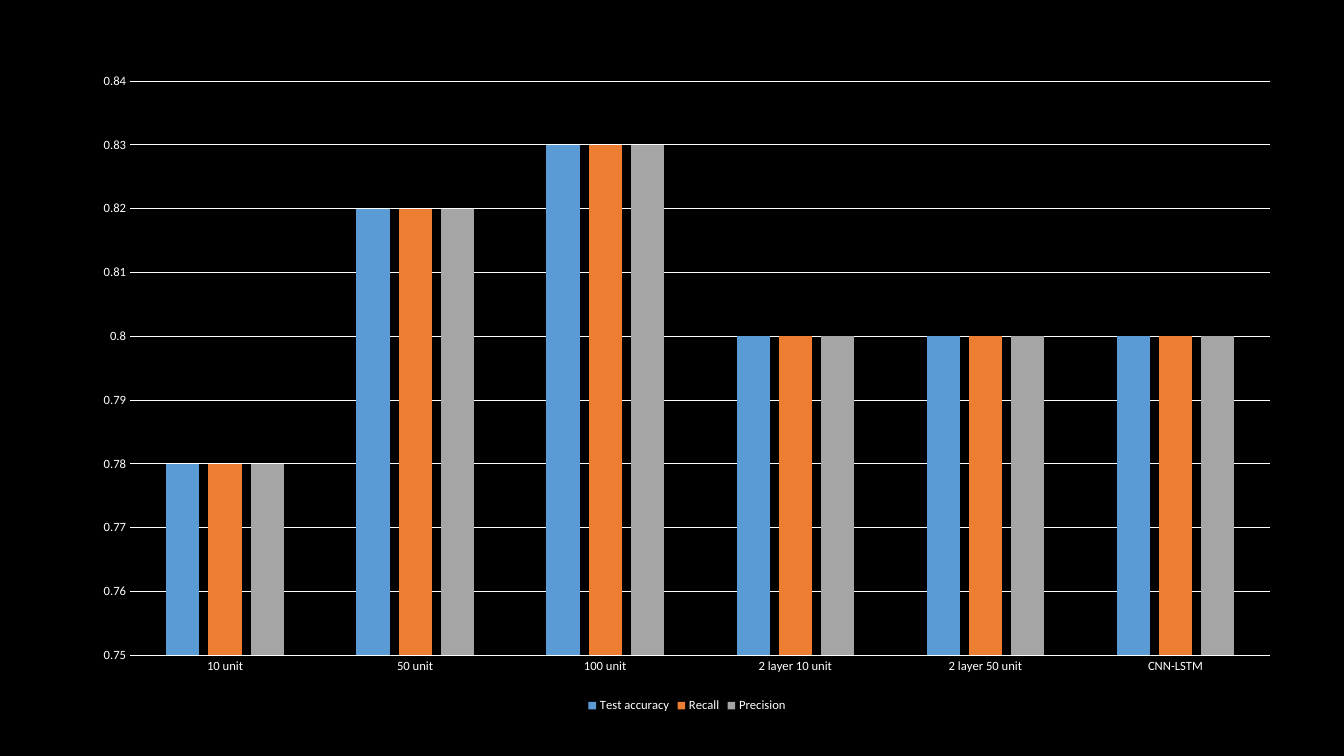
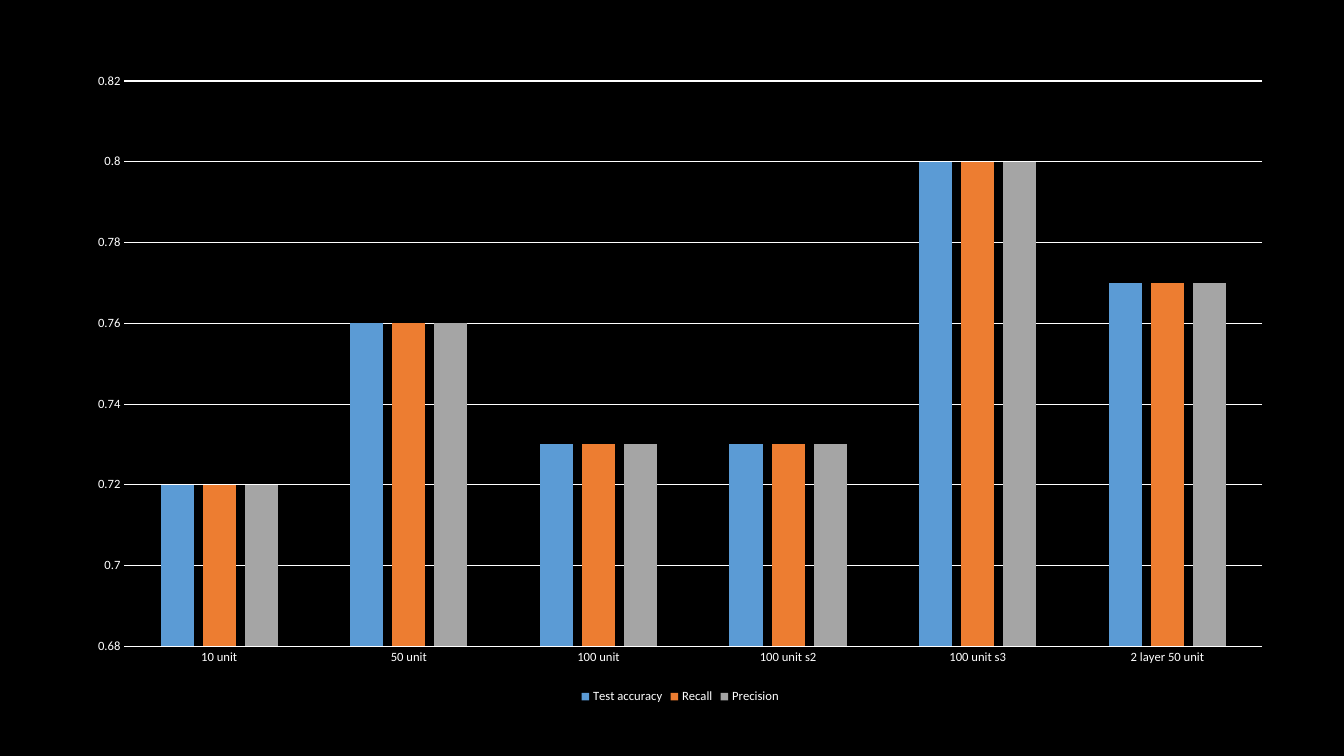
from dataclasses import dataclass

from pptx import Presentation
from pptx import util as u
from pptx.chart.chart import Chart
from pptx.chart.data import CategoryChartData
from pptx.dml.color import RGBColor
from pptx.enum import chart as charts
from pptx.slide import Slide
from pptx.text.text import Font


@dataclass(frozen=True)
class Theme:
    background: str = "000000"
    foreground: str = "FFFFFF"
    series: tuple[str, ...] = ("5B9BD5", "ED7D31", "A5A5A5")
    font: str = "Calibri"
    chart_size: int = 10
    label_size: int = 9
    line_width: float = 0.75


@dataclass(frozen=True)
class ScoreChart:
    """One slide's chart: frame in cm, value axis and the scores all measures share."""

    frame: tuple[float, float, float, float]
    axis: tuple[float, float, float]  # minimum, maximum, step
    categories: tuple[str, ...]
    scores: tuple[float, ...]


THEME = Theme()
MEASURES = ("Test accuracy", "Recall", "Precision")

SCORE_CHARTS = (
    ScoreChart(
        frame=(2.0, 1.53, 30.63, 16.54),
        axis=(0.75, 0.84, 0.01),
        categories=("10 unit", "50 unit", "100 unit",
                    "2 layer 10 unit", "2 layer 50 unit", "CNN-LSTM"),
        scores=(0.78, 0.82, 0.83, 0.8, 0.8, 0.8),
    ),
    ScoreChart(
        frame=(1.86, 1.53, 30.56, 16.31),
        axis=(0.68, 0.82, 0.02),
        categories=("10 unit", "50 unit", "100 unit",
                    "100 unit s2", "100 unit s3", "2 layer 50 unit"),
        scores=(0.72, 0.76, 0.73, 0.73, 0.8, 0.77),
    ),
)


def rgb(value: str) -> RGBColor:
    return RGBColor.from_string(value)


def style_font(font: Font, size: int) -> None:
    font.name = THEME.font
    font.size = u.Pt(size)
    font.color.rgb = rgb(THEME.foreground)


def style_axes(chart: Chart, scale: tuple[float, float, float]) -> None:
    category_axis, value_axis = chart.category_axis, chart.value_axis
    for axis in (category_axis, value_axis):
        axis.major_tick_mark = charts.XL_TICK_MARK.NONE
        axis.minor_tick_mark = charts.XL_TICK_MARK.NONE
        style_font(axis.tick_labels.font, THEME.label_size)
    value_axis.minimum_scale, value_axis.maximum_scale, value_axis.major_unit = scale
    value_axis.has_major_gridlines = True
    value_axis.format.line.fill.background()
    for line in (category_axis.format.line, value_axis.major_gridlines.format.line):
        line.color.rgb = rgb(THEME.foreground)
        line.width = u.Pt(THEME.line_width)


def add_score_chart(slide: Slide, score_chart: ScoreChart) -> None:
    data = CategoryChartData()
    data.categories = score_chart.categories
    for measure in MEASURES:
        data.add_series(measure, score_chart.scores)
    frame = (u.Cm(length) for length in score_chart.frame)
    chart = slide.shapes.add_chart(
        charts.XL_CHART_TYPE.COLUMN_CLUSTERED, *frame, data).chart

    chart.has_title = False
    style_font(chart.font, THEME.chart_size)
    style_axes(chart, score_chart.axis)
    chart.has_legend = True
    chart.legend.position = charts.XL_LEGEND_POSITION.BOTTOM
    chart.legend.include_in_layout = False
    style_font(chart.legend.font, THEME.label_size)

    plot = chart.plots[0]
    plot.gap_width = 219
    plot.overlap = -27
    plot.vary_by_categories = False
    for series, color in zip(plot.series, THEME.series):
        series.format.fill.solid()
        series.format.fill.fore_color.rgb = rgb(color)


def main() -> None:
    presentation = Presentation()
    presentation.slide_width = u.Cm(33.87)
    presentation.slide_height = u.Cm(19.05)
    background = presentation.slide_master.background.fill
    background.solid()
    background.fore_color.rgb = rgb(THEME.background)
    blank_layout = presentation.slide_layouts[6]
    for score_chart in SCORE_CHARTS:
        add_score_chart(presentation.slides.add_slide(blank_layout), score_chart)
    presentation.save("out.pptx")


if __name__ == "__main__":
    main()
